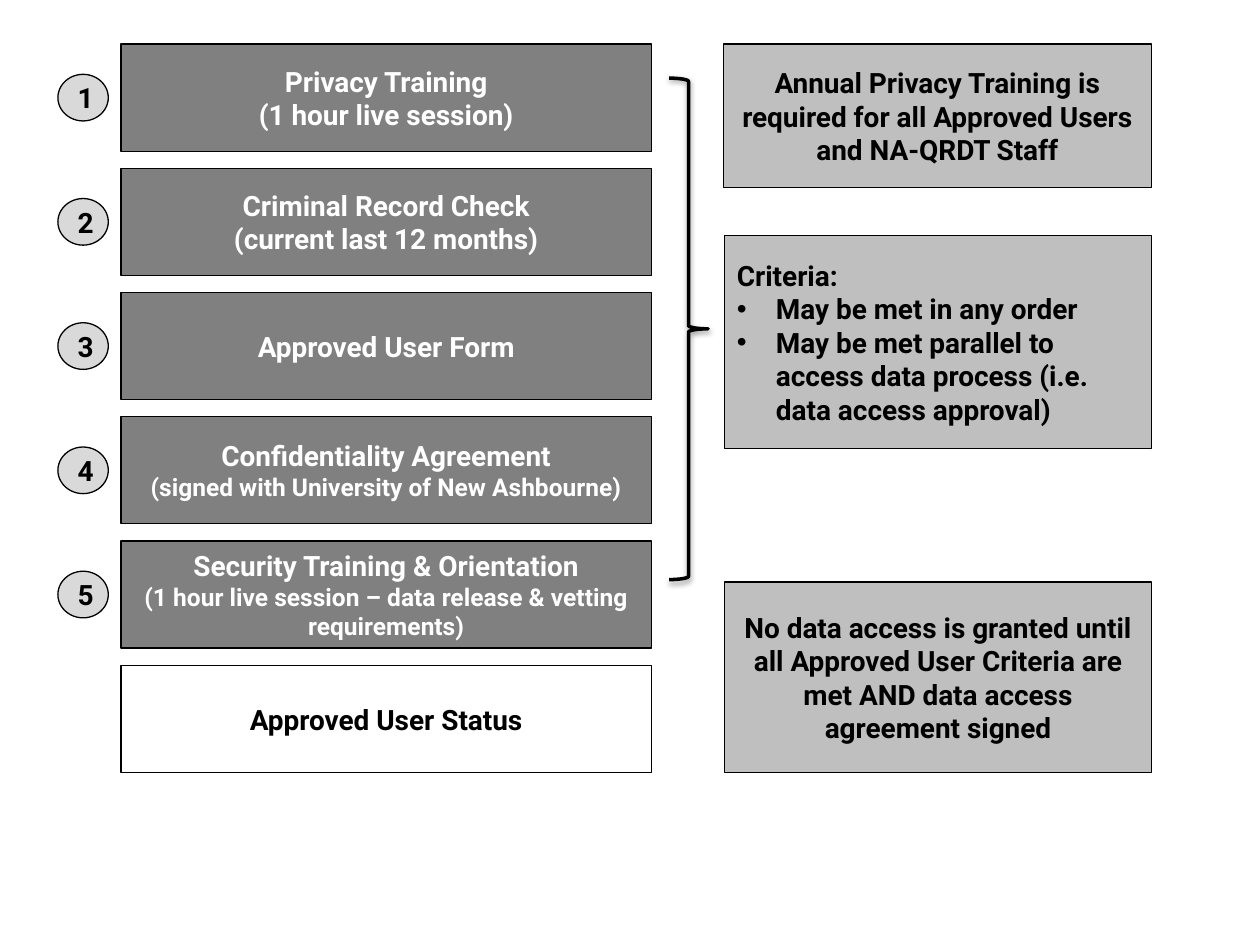
from lxml import etree
from pptx import Presentation
from pptx.dml.color import RGBColor
from pptx.enum.shapes import MSO_SHAPE
from pptx.enum.text import MSO_ANCHOR, PP_ALIGN
from pptx.oxml import parse_xml
from pptx.oxml.ns import nsdecls, qn
from pptx.util import Inches, Pt

RECTANGLE, OVAL, BRACE = MSO_SHAPE.RECTANGLE, MSO_SHAPE.OVAL, MSO_SHAPE.RIGHT_BRACE
MIDDLE = MSO_ANCHOR.MIDDLE
LEFT, CENTER = PP_ALIGN.LEFT, PP_ALIGN.CENTER

BLACK = RGBColor(0x00, 0x00, 0x00)
WHITE = RGBColor(0xFF, 0xFF, 0xFF)
STEP_GREY = RGBColor(0x80, 0x80, 0x80)
NOTE_GREY = RGBColor(0xBF, 0xBF, 0xBF)
BADGE_GREY = RGBColor(0xD9, 0xD9, 0xD9)
FONT = "Roboto"

prs = Presentation()
prs.slide_width, prs.slide_height = Inches(10), Inches(7.5)
slide = prs.slides.add_slide(prs.slide_layouts[6])


def add_box(kind, left, top, width, height, fill, color, lines, align=CENTER):
    """Add an outlined shape; lines holds (text, size) pairs, one per paragraph."""
    box = slide.shapes.add_shape(
        kind, Inches(left), Inches(top), Inches(width), Inches(height))
    box.shadow.inherit = False
    box.fill.solid()
    box.fill.fore_color.rgb = fill
    box.line.color.rgb = BLACK
    box.line.width = Pt(0.75)
    frame = box.text_frame
    frame.word_wrap = True
    frame.vertical_anchor = MIDDLE
    for i, (text, size) in enumerate(lines):
        paragraph = frame.paragraphs[0] if i == 0 else frame.add_paragraph()
        paragraph.alignment = align
        run = paragraph.add_run()
        run.text = text
        run.font.name = FONT
        run.font.size = Pt(size)
        run.font.bold = True
        run.font.color.rgb = color
    return box


# Numbered steps, ending in the approved status
steps = [
    [("Privacy Training", 16), ("(1 hour live session)", 16)],
    [("Criminal Record Check", 16), ("(current last 12 months)", 16)],
    [("Approved User Form", 16)],
    [("Confidentiality Agreement", 16),
     ("(signed with University of New Ashbourne)", 14)],
    [("Security Training & Orientation", 16),
     ("(1 hour live session – data release & vetting requirements)", 14)],
]
first_top, status_top = 0.35, 5.28
pitch = (status_top - first_top) / len(steps)
for number, lines in enumerate(steps, start=1):
    top = first_top + (number - 1) * pitch
    add_box(OVAL, 0.46, top + 0.24, 0.4, 0.37, BADGE_GREY, BLACK,
            [(str(number), 16)])
    add_box(RECTANGLE, 0.96, top, 4.21, 0.85, STEP_GREY, WHITE, lines)
add_box(RECTANGLE, 0.96, status_top, 4.21, 0.85, WHITE, BLACK,
        [("Approved User Status", 16)])

# Brace from the steps to the criteria, with a soft shadow below
brace = slide.shapes.add_shape(
    BRACE, Inches(5.31), Inches(0.62), Inches(0.31), Inches(3.98))
brace.fill.background()
brace.line.color.rgb = BLACK
brace.line.width = Pt(2)
brace.shadow.inherit = False
effects = brace._element.spPr.find(qn("a:effectLst"))
effects.append(parse_xml(
    f'<a:outerShdw {nsdecls("a")} blurRad="{Pt(3.1)}" dist="{Pt(1.6)}" '
    'dir="5400000" rotWithShape="0"><a:srgbClr val="000000">'
    '<a:alpha val="38000"/></a:srgbClr></a:outerShdw>'))

# Notes on the right
add_box(RECTANGLE, 5.74, 0.35, 3.4, 1.14, NOTE_GREY, BLACK,
        [("Annual Privacy Training is required for all Approved Users "
          "and NA-QRDT Staff", 16)])
criteria = add_box(
    RECTANGLE, 5.75, 1.87, 3.39, 1.69, NOTE_GREY, BLACK,
    [("Criteria:", 16),
     ("May be met in any order", 16),
     ("May be met parallel to access data process "
      "(i.e. data access approval)", 16)], LEFT)
add_box(RECTANGLE, 5.75, 4.62, 3.39, 1.51, NOTE_GREY, BLACK,
        [("No data access is granted until all Approved User Criteria are "
          "met AND data access agreement signed", 16)])

# Bullets under the criteria heading
for paragraph in criteria.text_frame.paragraphs[1:]:
    properties = paragraph._p.get_or_add_pPr()
    properties.set("marL", str(Inches(0.31)))
    properties.set("indent", str(-Inches(0.31)))
    etree.SubElement(properties, qn("a:buFont")).set("typeface", "Arial")
    etree.SubElement(properties, qn("a:buChar")).set("char", "•")

prs.save("out.pptx")
